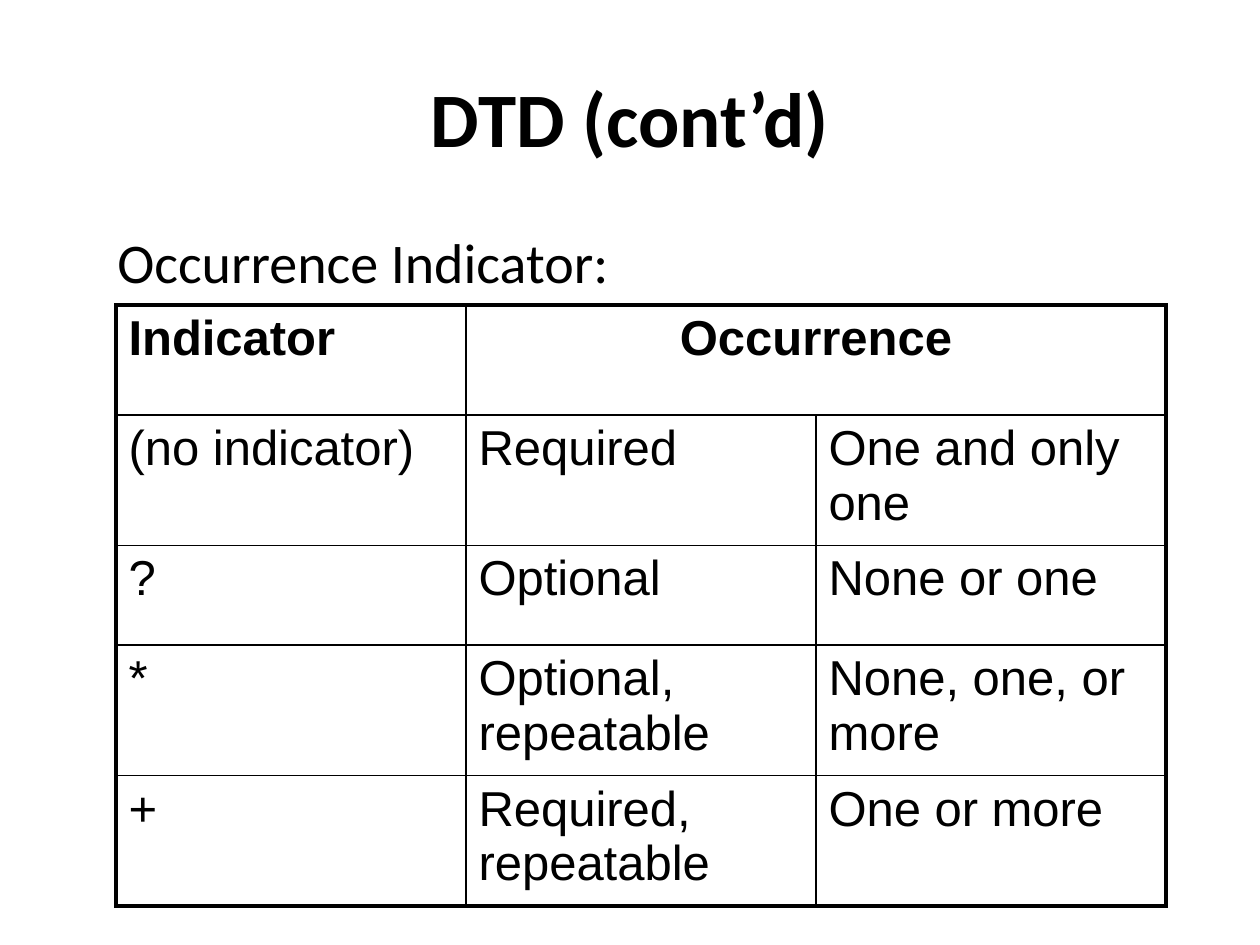
from lxml.etree import SubElement
from pptx import Presentation
from pptx.dml.color import RGBColor
from pptx.enum.text import MSO_ANCHOR as Anchor, PP_ALIGN as Align
from pptx.oxml.ns import qn
from pptx.util import Pt

SCALE = 914400 // 126
COLORS = {"ink": "000000", "paper": "FFFFFF"}
FORMATS = {
    "title": {"name": "Calibri", "size": Pt(44), "bold": True},
    "lead": {"name": "Calibri", "size": Pt(32), "bold": False},
    "header": {"name": "Arial", "size": Pt(28), "bold": True},
    "body": {"name": "Arial", "size": Pt(28), "bold": False},
}
THIN, THICK = Pt(1), Pt(2.25)
ROW_HEIGHTS = [110, 122, 100, 122, 122]
INDICATORS = [
    ["Indicator", "Occurrence", ""],
    ["(no indicator)", "Required", "One and only one"],
    ["?", "Optional", "None or one"],
    ["*", "Optional, repeatable", "None, one, or more"],
    ["+", "Required, repeatable", "One or more"],
]


def to_emu(*pixels):
    """Turn pixel lengths into EMU."""
    return [pixel * SCALE for pixel in pixels]


def write_text(frame, text, style, align=Align.LEFT):
    """Write one formatted paragraph into a text frame."""
    frame.word_wrap = True
    paragraph = frame.paragraphs[0]
    paragraph.alignment = align
    run = paragraph.add_run()
    run.text = text
    for attribute, value in FORMATS[style].items():
        setattr(run.font, attribute, value)
    run.font.color.rgb = RGBColor.from_string(COLORS["ink"])


def set_borders(cell, widths):
    """Draw the cell borders, given as widths by side tag."""
    properties = cell._tc.get_or_add_tcPr()
    for position, (side, width) in enumerate(widths.items()):
        line = SubElement(properties, qn(f"a:{side}"), w=str(width))
        fill = SubElement(line, qn("a:solidFill"))
        SubElement(fill, qn("a:srgbClr"), val=COLORS["ink"])
        properties.insert(position, line)


def add_title(slide, box, text):
    """Place and fill the title placeholder."""
    title = slide.shapes.title
    title.left, title.top, title.width, title.height = to_emu(*box)
    title.text_frame.vertical_anchor = Anchor.MIDDLE
    write_text(title.text_frame, text, "title", Align.CENTER)


def add_lead(slide, box, text):
    """Add the line that introduces the table."""
    shape = slide.shapes.add_textbox(*to_emu(*box))
    write_text(shape.text_frame, text, "lead")


def add_indicator_table(slide, box, rows):
    """Add the ruled table with a thick outer frame and a merged header."""
    last_row, last_column = len(rows) - 1, len(rows[0]) - 1
    frame = slide.shapes.add_table(len(rows), len(rows[0]), *to_emu(*box))
    table = frame.table
    table.first_row = table.horz_banding = False
    for column in table.columns:
        column.width = box[2] * SCALE // len(rows[0])
    for row, height in zip(table.rows, ROW_HEIGHTS):
        row.height = height * SCALE
    table.cell(0, 1).merge(table.cell(0, last_column))
    for r, row in enumerate(rows):
        for c, text in enumerate(row):
            cell = table.cell(r, c)
            cell.fill.solid()
            cell.fill.fore_color.rgb = RGBColor.from_string(COLORS["paper"])
            right_edge = c == last_column or (r == 0 and c == 1)
            set_borders(cell, {
                "lnL": THICK if c == 0 else THIN,
                "lnR": THICK if right_edge else THIN,
                "lnT": THICK if r == 0 else THIN,
                "lnB": THICK if r == last_row else THIN,
            })
            if text:
                centered = r == 0 and c == 1
                write_text(cell.text_frame, text, "body" if r else "header",
                           Align.CENTER if centered else Align.LEFT)


def build_slide(presentation):
    """Build the slide on occurrence indicators."""
    slide = presentation.slides.add_slide(presentation.slide_layouts[5])
    add_title(slide, (63, 38, 1134, 158), "DTD (cont’d)")
    add_lead(slide, (105, 221, 1071, 80), "Occurrence Indicator:")
    add_indicator_table(slide, (116, 305, 1050, sum(ROW_HEIGHTS)), INDICATORS)


presentation = Presentation()
presentation.slide_width, presentation.slide_height = to_emu(1260, 945)
build_slide(presentation)
presentation.save("out.pptx")
